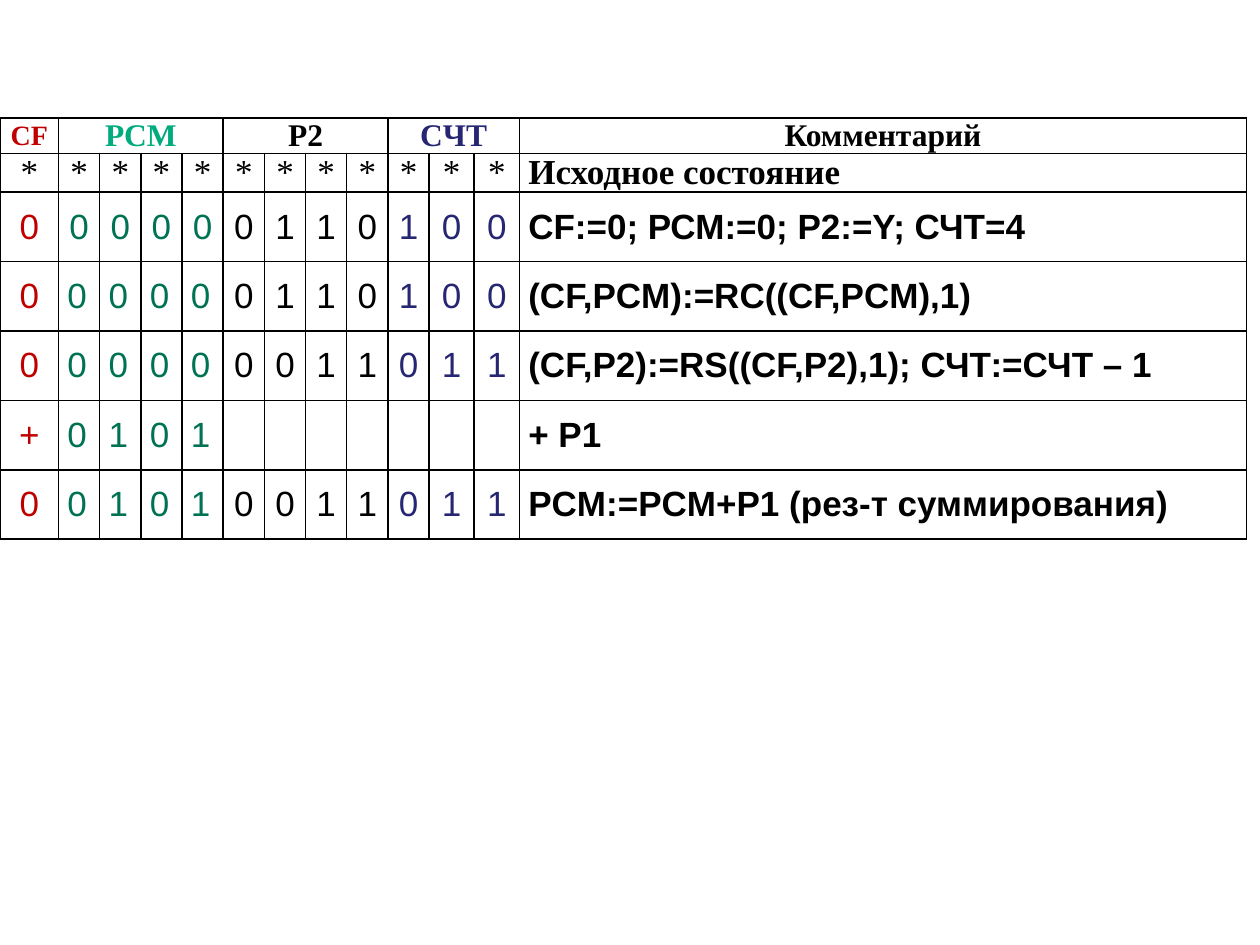
import pptx
import pptx.dml.color
import pptx.enum.text
import pptx.oxml
import pptx.oxml.ns
import pptx.util

Cm, Pt = pptx.util.Cm, pptx.util.Pt
Align = pptx.enum.text.PP_ALIGN
Middle = pptx.enum.text.MSO_ANCHOR.MIDDLE

THEME = {
    "black": "000000", "red": "C00000", "teal": "00AB7E",
    "green": "007254", "navy": "262673",
    "serif": "Times New Roman", "sans": "Arial",
    "small": Pt(16), "head": Pt(18), "body": Pt(20),
}

WIDTHS = [1.18] + [0.83] * 9 + [0.91] * 2 + [14.66]
HEIGHTS = [0.71] * 2 + [1.4] * 5
NOTE = len(WIDTHS) - 1

# first column, span, text, colour, size
HEADS = [
    (0, 1, "CF", "red", "small"),
    (1, 4, "PCM", "teal", "head"),
    (5, 4, "P2", "black", "head"),
    (9, 3, "CЧТ", "navy", "head"),
    (NOTE, 1, "Комментарий", "black", "head"),
]
INKS = ["red"] + ["green"] * 4 + ["black"] * 4 + ["navy"] * 3
STEPS = [
    ("000000110100", "CF:=0; РСМ:=0; Р2:=Y; СЧТ=4"),
    ("000000110100", "(CF,PCM):=RС((CF,PCM),1)"),
    ("000000011011", "(CF,P2):=RS((CF,P2),1); СЧТ:=СЧТ – 1"),
    ("+0101", "+ P1"),
    ("001010011011", "PCM:=PCM+P1 (рез-т суммирования)"),
]


class Deck:
    def __init__(self, theme):
        self.theme = theme
        self.show = pptx.Presentation()
        self.show.slide_width, self.show.slide_height = Cm(25.4), Cm(19.05)
        self.slide = self.show.slides.add_slide(self.show.slide_layouts[6])

    def grid(self, left, top, widths, heights):
        frame = self.slide.shapes.add_table(
            len(heights), len(widths), Cm(left), Cm(top),
            Cm(sum(widths)), Cm(sum(heights)))
        table = frame.table
        table.first_row = table.horz_banding = False
        for col, width in zip(table.columns, widths):
            col.width = Cm(width)
        for row, height in zip(table.rows, heights):
            row.height = Cm(height)
        for cell in table.iter_cells():
            self.plain(cell)
        return table

    def plain(self, cell):
        """Give a cell thin borders, no fill and tight margins."""
        props = cell._tc.get_or_add_tcPr()
        for side in "LRTB":
            props.append(pptx.oxml.parse_xml(
                f'<a:ln{side} {pptx.oxml.ns.nsdecls("a")} w="12700"><a:solidFill>'
                f'<a:srgbClr val="{self.theme["black"]}"/>'
                f'</a:solidFill></a:ln{side}>'))
        cell.fill.background()
        form = {"margin_left": Cm(0.18), "margin_right": Cm(0.18),
                "margin_top": 0, "margin_bottom": 0,
                "vertical_anchor": Middle}
        for key, value in form.items():
            setattr(cell, key, value)

    def label(self, cell, text, ink="black", face="sans", size="body",
              bold=False, align=Align.CENTER):
        para = cell.text_frame.paragraphs[0]
        para.alignment, para.space_after = align, Pt(3)
        run = para.add_run()
        run.text = text
        form = {"name": self.theme[face], "size": self.theme[size],
                "bold": bold}
        for key, value in form.items():
            setattr(run.font, key, value)
        run.font.color.rgb = pptx.dml.color.RGBColor.from_string(
            self.theme[ink])


def main():
    deck = Deck(THEME)
    table = deck.grid(0, 2.38, WIDTHS, HEIGHTS)

    for col, span, text, ink, size in HEADS:
        cell = table.cell(0, col)
        if span > 1:
            cell.merge(table.cell(0, col + span - 1))
        deck.label(cell, text, ink, "serif", size, bold=True)

    for col in range(NOTE):
        deck.label(table.cell(1, col), "*", face="serif")
    deck.label(table.cell(1, NOTE), "Исходное состояние", face="serif",
               bold=True, align=Align.LEFT)

    for row, (bits, note) in enumerate(STEPS, 2):
        for col, (bit, ink) in enumerate(zip(bits, INKS)):
            left = row > 2 and ink == "green"
            deck.label(table.cell(row, col), bit, ink,
                       align=Align.LEFT if left else Align.CENTER)
        deck.label(table.cell(row, NOTE), note, bold=True, align=Align.LEFT)

    deck.show.save("out.pptx")


if __name__ == "__main__":
    main()
